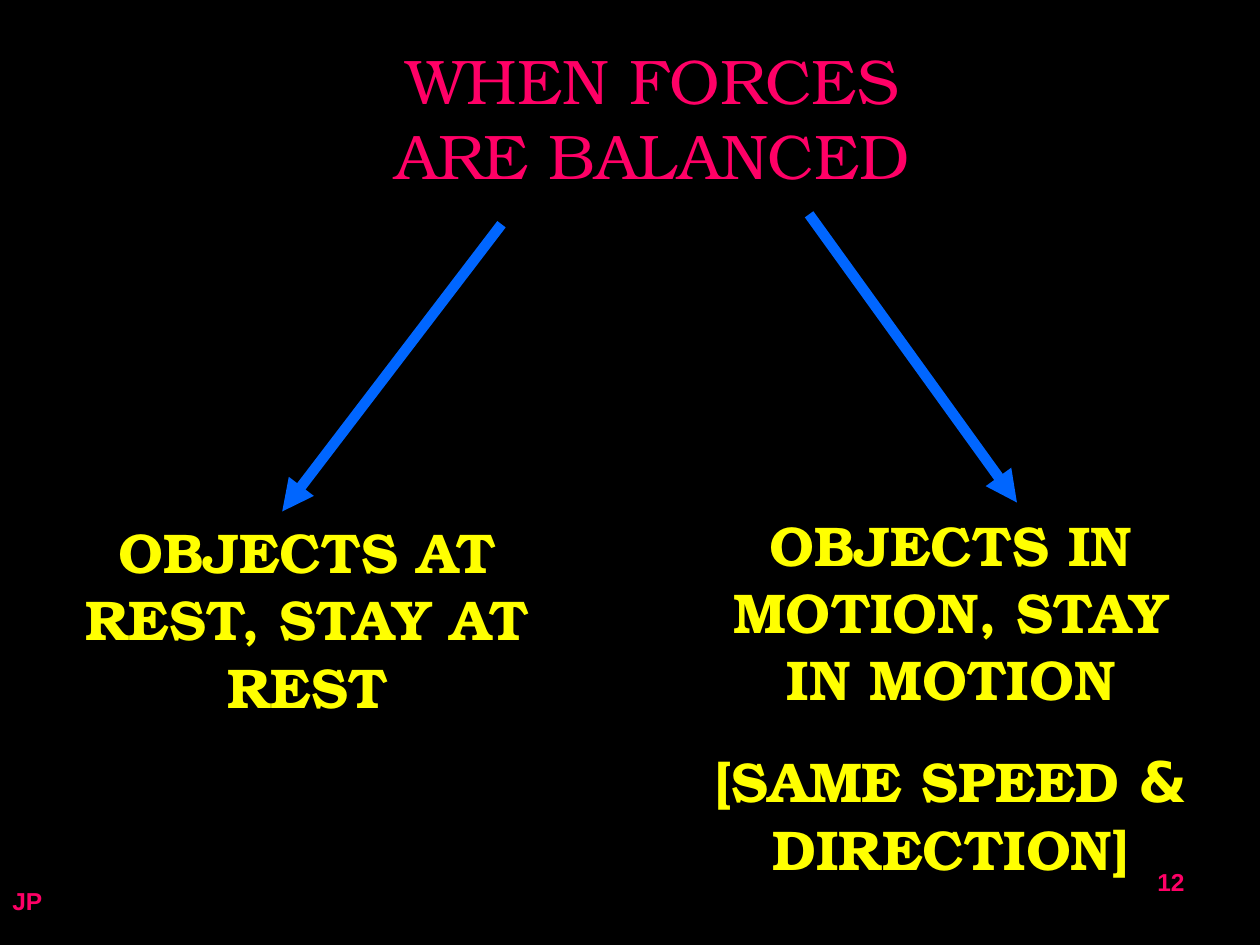
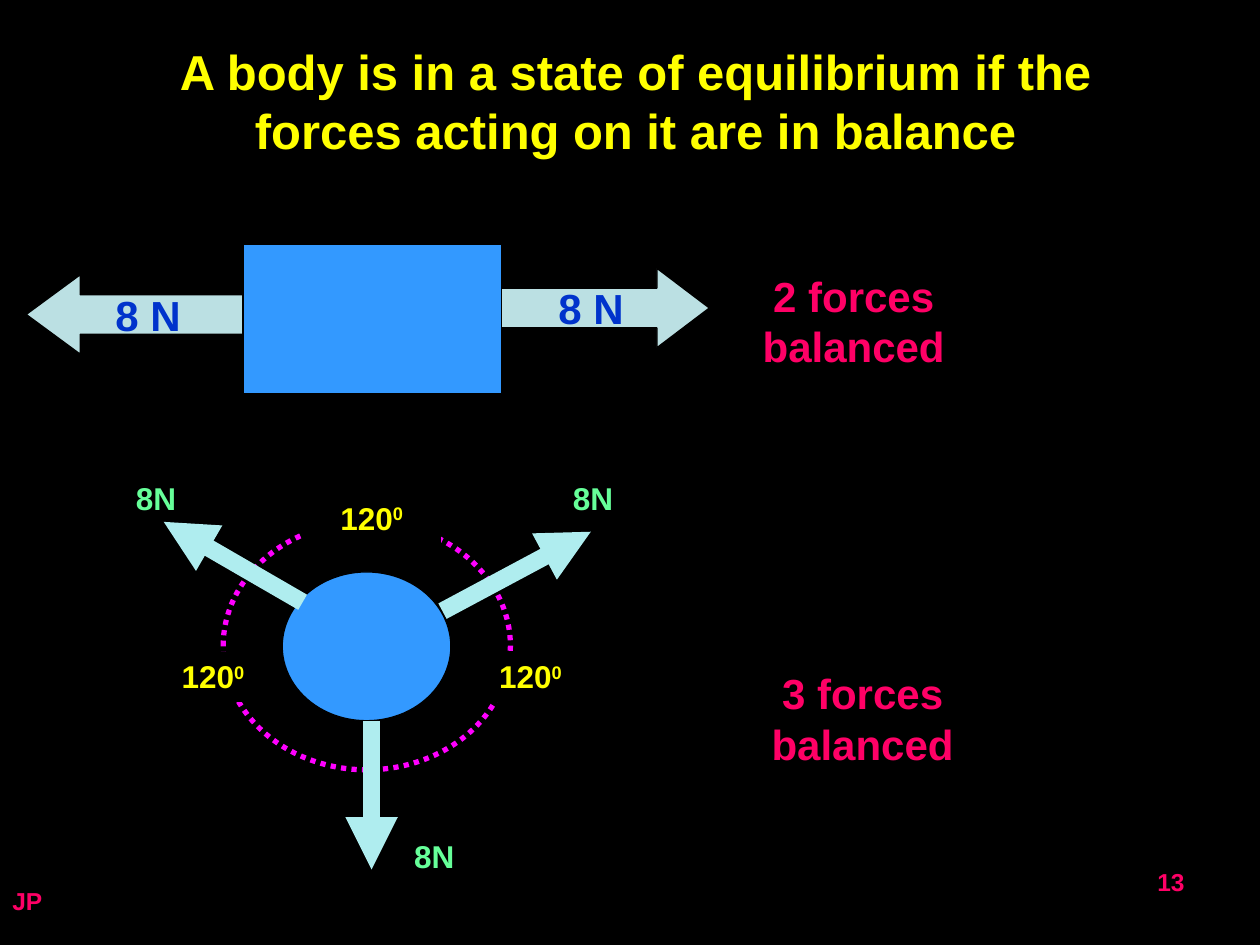
from dataclasses import dataclass

from lxml.etree import SubElement
from pptx import Presentation
from pptx.dml.color import RGBColor
from pptx.enum.dml import MSO_LINE
from pptx.enum.shapes import MSO_CONNECTOR, MSO_SHAPE
from pptx.enum.text import MSO_ANCHOR, PP_ALIGN
from pptx.oxml.ns import qn
from pptx.util import Cm, Pt


@dataclass(frozen=True)
class Style:
    size: float
    color: str
    font: str = "Arial"
    bold: bool = True


@dataclass(frozen=True)
class Theme:
    back: str = "000000"
    branch: str = "0066FF"
    body: str = "3399FF"
    block_arrow: str = "BBE0E3"
    force_arrow: str = "AFEDEF"
    ring: str = "FF00FF"
    symbol_font: str = "DejaVu Sans"
    heading: Style = Style(36, "FF0066", "TeX Gyre Bonum", False)
    outcome: Style = Style(32, "FFFF00", "TeX Gyre Bonum")
    statement: Style = Style(28, "FFFF00")
    caption: Style = Style(24, "FF0066")
    block_force: Style = Style(24, "0033CC")
    force: Style = Style(18, "66FF99")
    angle: Style = Style(18, "FFFF00")
    footer: Style = Style(14, "FF0066")


@dataclass(frozen=True)
class Box:
    """A place on the slide, in centimetres."""
    x: float
    y: float
    w: float
    h: float

    def sub(self, dx, dy, w, h):
        return Box(self.x + dx, self.y + dy, w, h)

    def point(self, dx, dy):
        return self.x + dx, self.y + dy

    def emu(self):
        return Cm(self.x), Cm(self.y), Cm(self.w), Cm(self.h)


THEME = Theme()


def rgb(color):
    return RGBColor.from_string(color)


def write(tf, paragraphs, style, align=PP_ALIGN.CENTER, gap=0):
    """Fill a frame; each paragraph is a tuple of run texts."""
    tf.word_wrap = True
    for i, texts in enumerate(paragraphs):
        p = tf.add_paragraph() if i else tf.paragraphs[0]
        p.alignment = align
        if i:
            p.space_before = Pt(gap)
        for text in texts:
            r = p.add_run()
            r.text = text
            r.font.size = Pt(style.size)
            r.font.name = style.font
            r.font.bold = style.bold
            r.font.color.rgb = rgb(style.color)


def add_text(slide, box, style, *paragraphs, **layout):
    tf = slide.shapes.add_textbox(*box.emu()).text_frame
    write(tf, paragraphs, style, **layout)
    return tf


def add_shape(slide, preset, box, fill, line=None, width=0.75):
    sp = slide.shapes.add_shape(preset, *box.emu())
    sp.shadow.inherit = False
    sp.fill.solid()
    sp.fill.fore_color.rgb = rgb(fill)
    if line:
        sp.line.color.rgb = rgb(line)
        sp.line.width = Pt(width)
    else:
        sp.line.fill.background()
    return sp


def add_arrow(slide, start, end, color, width):
    ends = [Cm(v) for v in (*start, *end)]
    line = slide.shapes.add_connector(MSO_CONNECTOR.STRAIGHT, *ends)
    line.line.color.rgb = rgb(color)
    line.line.width = Pt(width)
    SubElement(line.line._get_or_add_ln(), qn("a:tailEnd"), type="triangle")
    SubElement(line._element.spPr, qn("a:effectLst"))


def add_footer(slide, number):
    add_text(slide, Box(0, 17.73, 8.05, 1.32), THEME.footer, ("JP",),
             align=PP_ALIGN.LEFT)
    add_text(slide, Box(18.21, 17.35, 5.92, 1.32), THEME.footer,
             (str(number),), align=PP_ALIGN.RIGHT)


def add_outcome(slide, box, arrow_start, arrow_end, *paragraphs):
    """Outcome text with the arrow that leads to it, relative to its box."""
    add_arrow(slide, box.point(*arrow_start), box.point(*arrow_end),
              THEME.branch, 6)
    return add_text(slide, box, THEME.outcome, *paragraphs, gap=20)


def add_caption(slide, box, text):
    add_text(slide, box, THEME.caption, (text,))


def add_two_forces(slide, box):
    arrows = [
        (MSO_SHAPE.RIGHT_ARROW, box.sub(9.53, 0.48, 4.24, 1.6), 0.66),
        (MSO_SHAPE.LEFT_ARROW, box.sub(0, 0.61, 4.37, 1.6), 0.68),
    ]
    for preset, place, head in arrows:
        sp = add_shape(slide, preset, place, THEME.block_arrow, THEME.back)
        sp.adjustments[1] = head
        write(sp.text_frame, [("8 N",)], THEME.block_force)
        sp.text_frame.word_wrap = False
        sp.text_frame.vertical_anchor = MSO_ANCHOR.MIDDLE
    add_shape(slide, MSO_SHAPE.RECTANGLE, box.sub(4.37, 0, 5.21, 3),
              THEME.body, THEME.back)
    add_caption(slide, box.sub(14.38, 0.4, 4.6, 2.29), "2 forces balanced")


def add_angle(slide, box):
    sp = add_shape(slide, MSO_SHAPE.RECTANGLE, box, THEME.back)
    tf = sp.text_frame
    tf.vertical_anchor = MSO_ANCHOR.TOP
    write(tf, [("120", "0")], THEME.angle)
    degree = tf.paragraphs[0].runs[1]
    degree._r.get_or_add_rPr().set("baseline", "30000")


def add_three_forces(slide, box):
    ring = add_shape(slide, MSO_SHAPE.OVAL, box.sub(2.01, 0.99, 5.79, 5),
                     THEME.back, THEME.ring, 3)
    ring.line.dash_style = MSO_LINE.ROUND_DOT
    add_shape(slide, MSO_SHAPE.OVAL, box.sub(3.2, 2, 3.4, 3),
              THEME.body, THEME.back)
    forces = [  # arrow start, arrow end, label corner
        ((6.43, 2.79), (9.42, 1.19), (8.81, 0)),
        ((3.61, 2.61), (0.81, 0.99), (0, 0)),
        ((5, 5), (5, 8), (5.61, 7.21)),
    ]
    for start, end, label in forces:
        add_arrow(slide, box.point(*start), box.point(*end),
                  THEME.force_arrow, 10)
        add_text(slide, box.sub(*label, 1.6, 1.02), THEME.force, ("8N",),
                 align=PP_ALIGN.LEFT)
    for dx, dy, w in [(3.61, 0.4, 2.79), (6.81, 3.6, 2.79), (0.61, 3.6, 2.39)]:
        add_angle(slide, box.sub(dx, dy, w, 1.02))
    add_caption(slide, box.sub(12.6, 3.81, 4.6, 2.29), "3 forces balanced")


def build_balanced(slide):
    add_text(slide, Box(6.5, 0.71, 13.31, 3.3), THEME.heading,
             ("WHEN FORCES ARE BALANCED",))
    add_outcome(slide, Box(1.09, 10.31, 10.21, 4.32), (9.02, -5.79), (4.6, 0),
                ("OBJECTS AT REST, STAY AT REST",))
    tf = add_outcome(slide, Box(13.89, 10.16, 10.57, 7.75),
                     (2.42, -5.84), (6.61, -0.03),
                     ("OBJECTS IN MOTION, STAY IN MOTION",),
                     ("[SAME SPEED ", "&", " DIRECTION]"))
    tf.paragraphs[1].runs[1].font.name = THEME.symbol_font


def build_equilibrium(slide):
    add_text(slide, Box(2.11, 0.71, 21.41, 2.64), THEME.statement,
             ("A body is in a state of equilibrium if the forces acting "
              "on it are in balance",))
    add_two_forces(slide, Box(0.53, 4.93, 18.98, 3))
    add_three_forces(slide, Box(2.49, 9.53, 17.2, 8.23))


def main():
    prs = Presentation()
    prs.slide_width, prs.slide_height = Cm(25.4), Cm(19.05)
    fill = prs.slide_master.background.fill
    fill.solid()
    fill.fore_color.rgb = rgb(THEME.back)
    for number, build in enumerate((build_balanced, build_equilibrium), 12):
        slide = prs.slides.add_slide(prs.slide_layouts[6])
        build(slide)
        add_footer(slide, number)
    prs.save("out.pptx")


if __name__ == "__main__":
    main()
